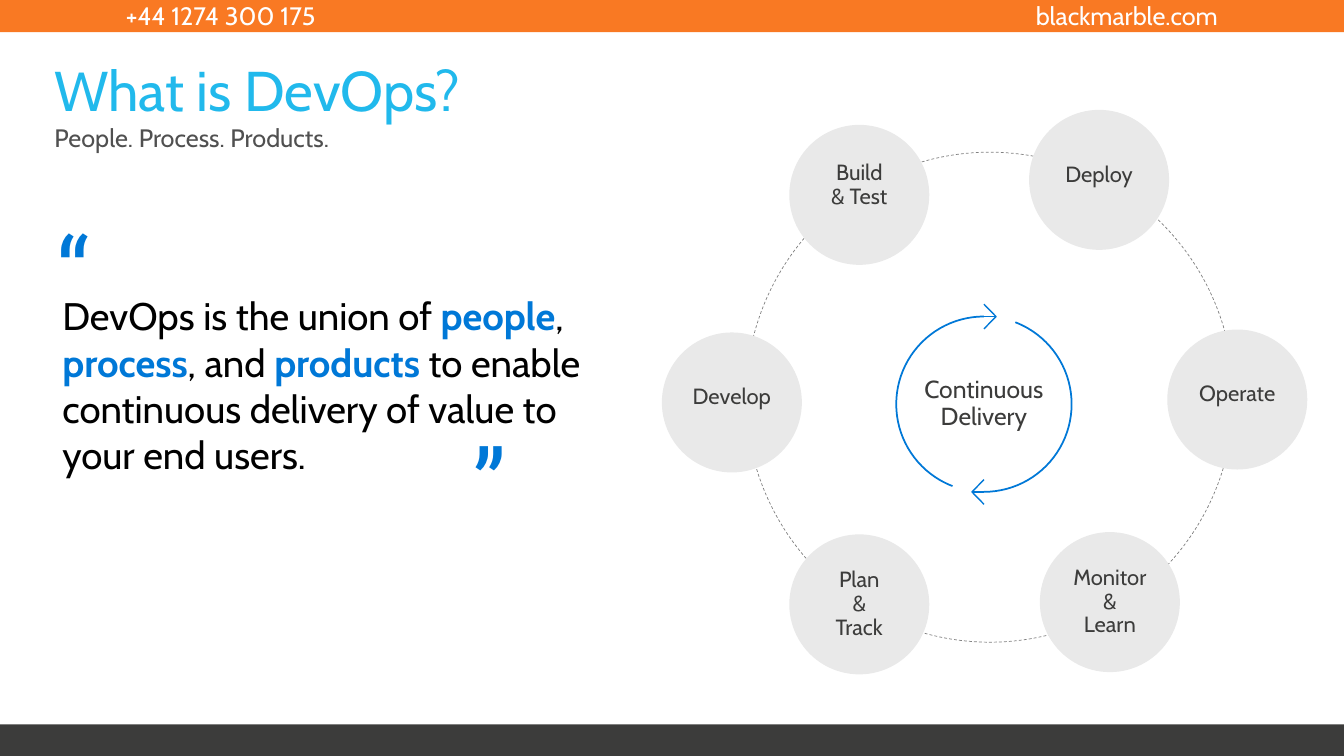
from lxml import etree
from pptx import Presentation
from pptx.dml.color import RGBColor
from pptx.enum.dml import MSO_LINE
from pptx.enum.shapes import MSO_CONNECTOR, MSO_SHAPE
from pptx.enum.text import MSO_ANCHOR, PP_ALIGN
from pptx.oxml.ns import qn
from pptx.util import Pt

LEFT, CENTER, RIGHT = PP_ALIGN.LEFT, PP_ALIGN.CENTER, PP_ALIGN.RIGHT
TOP, MIDDLE = MSO_ANCHOR.TOP, MSO_ANCHOR.MIDDLE
RECTANGLE, OVAL, ARC = MSO_SHAPE.RECTANGLE, MSO_SHAPE.OVAL, MSO_SHAPE.ARC
STRAIGHT, DASH = MSO_CONNECTOR.STRAIGHT, MSO_LINE.DASH

WIDTH, HEIGHT = 960, 540
CHARCOAL, BLUE = "3C3C3B", "0078D7"


def color(value):
    return RGBColor.from_string(value)


def write(holder, text, size, fill, font="Cabin", align=LEFT, anchor=TOP,
          insets=(7.2, 3.6, 7.2, 3.6), spacing=None, accent=None):
    """Text is a string, or a list whose odd entries are bold in the accent colour."""
    frame = holder.text_frame
    frame.word_wrap = True
    frame.vertical_anchor = anchor
    (frame.margin_left, frame.margin_top,
     frame.margin_right, frame.margin_bottom) = map(Pt, insets)
    paragraph = frame.paragraphs[0]
    paragraph.alignment = align
    paragraph.space_before = Pt(0)
    if spacing:
        paragraph.line_spacing = spacing
    for index, part in enumerate([text] if isinstance(text, str) else text):
        stressed = index % 2 == 1
        for line_number, line in enumerate(part.split("\n")):
            if line_number:
                paragraph.add_line_break()
            run = paragraph.add_run()
            run.text = line
            run.font.name, run.font.size = font, Pt(size)
            run.font.bold = stressed
            run.font.color.rgb = color(accent if stressed else fill)


def text_box(slide, box, text, **style):
    write(slide.shapes.add_textbox(*map(Pt, box)), text, **style)


def style_line(line, stroke, weight):
    line.color.rgb = color(stroke)
    line.width = Pt(weight)


def preset(slide, kind, box, fill=None, stroke=None, weight=1):
    shape = slide.shapes.add_shape(kind, *map(Pt, box))
    shape.shadow.inherit = False
    if fill:
        shape.fill.solid()
        shape.fill.fore_color.rgb = color(fill)
    else:
        shape.fill.background()
    if stroke:
        style_line(shape.line, stroke, weight)
    else:
        shape.line.fill.background()
    return shape


def bands(slide, box):
    left, top, width, height = box
    depth = 23
    preset(slide, RECTANGLE, (left, top, width, depth), fill="F97923")
    preset(slide, RECTANGLE, (left, top + height - depth + 0.5, width, depth),
           fill=CHARCOAL)
    for x, contact, align in ((82.8, "+44 1274 300 175", LEFT),
                              (707, "blackmarble.com", RIGHT)):
        text_box(slide, (left + x, top - 3.6, 170, 29), contact,
                 size=18, fill="FFFFFF", align=align)


def heading(slide, box):
    left, top, width, height = box
    title = slide.shapes.title
    title.left, title.top, title.width, title.height = map(Pt, box)
    write(title, "What is DevOps?", size=40, fill="21B9EC",
          insets=(0, 13, 0, 0), spacing=0.9)
    text_box(slide, (left, top + 54.7, width, 22), "People. Process. Products.",
             size=18, fill="505050", insets=(0, 0, 0, 0))


def quotation(slide, box):
    left, top, width, height = box
    text_box(slide, box,
             ["DevOps is the union of ", "people", ", ", "process", ", and ",
              "products",
              " to enable continuous delivery of value to your end users."],
             size=27.4, fill="000000", accent=BLUE, insets=(10.8, 60, 14.4, 11.5))
    for x, y, mark in ((0, 0, "“"), (297.4, 151.2, "”")):
        text_box(slide, (left + x, top + y, 61, 84), mark,
                 size=62.7, fill=BLUE, font="Roboto Slab")


def arrow_tip(slide, x, y, direction):
    """Open arrowhead and shaft starting at x, y; direction is 1 right, -1 left."""
    reach, spread = 8.6 * direction, 8.8
    builder = slide.shapes.build_freeform(Pt(x), Pt(y - spread))
    builder.add_line_segments([(Pt(x + reach), Pt(y)), (Pt(x), Pt(y + spread))],
                              close=False)
    head = builder.convert_to_shape()
    head.shadow.inherit = False
    head.fill.background()
    style_line(head.line, BLUE, 1)
    shaft = slide.shapes.add_connector(STRAIGHT, Pt(x), Pt(y), Pt(x + reach), Pt(y))
    style_line(shaft.line, BLUE, 1)
    etree.SubElement(shaft.element.spPr, qn("a:effectLst"))


def delivery_loop(slide, box):
    left, top, width, height = box
    for start, end in ((291, 90), (111, 270)):
        arc = preset(slide, ARC, box, stroke=BLUE, weight=1.25)
        arc.adjustments[0], arc.adjustments[1] = start * 0.6, end * 0.6
    middle = left + width / 2
    arrow_tip(slide, middle, top, 1)
    arrow_tip(slide, middle, top + height, -1)
    text_box(slide, box, "Continuous\nDelivery", size=17.6, fill=CHARCOAL,
             align=CENTER, anchor=MIDDLE, insets=(0, 0, 0, 0), spacing=0.9)


def cycle(slide, box):
    left, top, width, height = box
    ring = preset(slide, OVAL, box, stroke="808080", weight=0.5)
    ring.line.dash_style = DASH
    delivery_loop(slide, (left + 107.4, top + 117.4, 125.3, 125.3))
    diameter = 100
    # Offsets from the ring's corner, label, and bottom inset that lifts the label
    stages = (
        (31, -19.5, "Build\n& Test", 14),
        (202.3, -30.2, "Deploy", 7),
        (301, 126.7, "Operate", 7),
        (210, 271.4, "Monitor\n&\nLearn", 0),
        (31, 273, "Plan\n&\nTrack", 0),
        (-60, 128.8, "Develop", 7),
    )
    for x, y, label, lift in stages:
        bubble = preset(slide, OVAL, (left + x, top + y, diameter, diameter),
                        fill="E9E9E9")
        write(bubble, label, size=15.7, fill=CHARCOAL, align=CENTER,
              anchor=MIDDLE, insets=(0, 0, 0, lift), spacing=0.9)


def main():
    deck = Presentation()
    deck.slide_width, deck.slide_height = Pt(WIDTH), Pt(HEIGHT)
    slide = deck.slides.add_slide(deck.slide_layouts[5])
    bands(slide, (0, 0, WIDTH, HEIGHT))
    heading(slide, (38.9, 32.4, 893, 58.3))
    quotation(slide, (33.8, 149, 418, 306))
    cycle(slide, (532.8, 108.7, 348.5, 350))
    deck.save("out.pptx")


if __name__ == "__main__":
    main()
